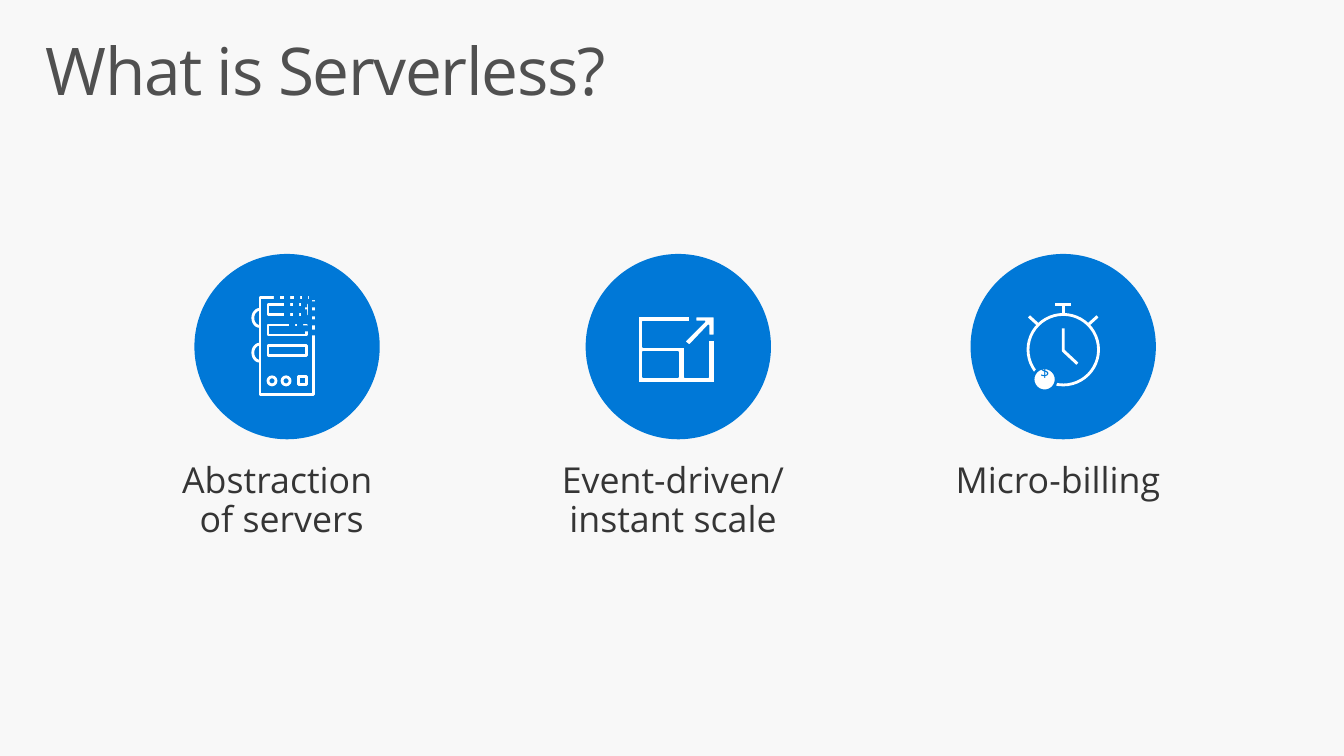
import math
import pptx
import pptx.util
import pptx.dml.color
import pptx.enum.shapes
import pptx.enum.text
import pptx.oxml

Cm, Pt = pptx.util.Cm, pptx.util.Pt
KIND = pptx.enum.shapes.MSO_SHAPE
ALIGN = pptx.enum.text.PP_ALIGN
FIT = pptx.enum.text.MSO_AUTO_SIZE

FONT = "Open Sans"
BLUE, WHITE = "0078D7", "FFFFFF"
SIZE = 4.67   # badge diameter in cm
GRID = 184    # icon units across a badge


def color(code):
    return pptx.dml.color.RGBColor.from_string(code)


def style(shape, fill=None, line=None, width=2):
    shape.shadow.inherit = False
    if fill:
        shape.fill.solid()
        shape.fill.fore_color.rgb = color(fill)
    else:
        shape.fill.background()
    if line:
        shape.line.color.rgb = color(line)
        shape.line.width = Pt(width)
    else:
        shape.line.fill.background()


def write(shapes, box, text, size, code, pad, align=ALIGN.LEFT, after=0, wrap=True):
    item = shapes.add_textbox(*[Cm(v) for v in box])
    frame = item.text_frame
    frame.word_wrap = wrap
    frame.auto_size = FIT.SHAPE_TO_FIT_TEXT if after else FIT.NONE
    frame.margin_left, frame.margin_top, frame.margin_right, frame.margin_bottom = map(Cm, pad)
    para = frame.paragraphs[0]
    para.text = text
    para.alignment = align
    para.line_spacing = 0.9
    para.space_after = Pt(after)
    para.font.name = FONT
    para.font.size = Pt(size)
    para.font.color.rgb = color(code)
    return para


class Badge:
    """A round badge whose icon is placed on a grid of GRID units."""

    def __init__(self, slide, left, top):
        self.left, self.top = left, top
        self.shapes = slide.shapes.add_group_shape().shapes
        self.add(KIND.OVAL, 0, 0, GRID, GRID, BLUE)

    def spot(self, x, y):
        return self.left + x * SIZE / GRID, self.top + y * SIZE / GRID

    def point(self, x, y):
        return tuple(Cm(v) for v in self.spot(x, y))

    def add(self, kind, x, y, wide, high, fill=None, line=None):
        unit = SIZE / GRID
        shape = self.shapes.add_shape(kind, *self.point(x, y), Cm(wide * unit), Cm(high * unit))
        style(shape, fill, line)

    def trace(self, loops, closed=True, **look):
        maker = None
        for loop in loops:
            first, *rest = [self.point(*spot) for spot in loop]
            if maker is None:
                maker = self.shapes.build_freeform(*first, scale=1.0)
            else:
                maker.move_to(*first)
            maker.add_line_segments(rest, close=closed)
        style(maker.convert_to_shape(), **look)

    def rule(self, start, end):
        line = self.shapes.add_connector(
            pptx.enum.shapes.MSO_CONNECTOR.STRAIGHT, *self.point(*start), *self.point(*end))
        line.line.color.rgb = color(WHITE)
        line.line.width = Pt(2.13)
        props = line._element.spPr
        props.append(props.makeelement(pptx.oxml.ns.qn("a:effectLst"), {}))


def server(badge):
    # Case and drive bays
    badge.add(KIND.RECTANGLE, 65, 43, 53, 97, line=WHITE)
    for row in range(3):
        badge.add(KIND.RECTANGLE, 73, 50 + 20.5 * row, 38, 10, line=WHITE)
    # Side handles
    for mid in (63.5, 98):
        turns = [math.radians(90 + 15 * step) for step in range(13)]
        arc = [(65 + 7 * math.cos(t), mid + 8.5 * math.sin(t)) for t in turns]
        badge.trace([arc], closed=False, line=WHITE)
    # Lamps
    for kind, x in ((KIND.OVAL, 73), (KIND.OVAL, 87), (KIND.RECTANGLE, 103)):
        badge.add(kind, x, 122, 8, 8, line=WHITE)
    # Squares that dissolve the corner
    holes = {79: [40], 89: [39, 46, 58], 94: [68], 98: [46, 57], 99: [40],
             102: [68], 106: [47, 55, 57], 107: [39, 71], 114: [40],
             115: [75, 65], 116: [47, 56]}
    for x, rows in holes.items():
        for y in rows:
            badge.add(KIND.RECTANGLE, x, y, 6, 6, BLUE)


def scale(badge):
    look = dict(fill=WHITE, line=BLUE, width=1.25)
    # Frame with the small window
    frame = [(122, 122), (98, 122), (98, 92), (57, 92), (57, 67), (103, 67),
             (103, 62), (52, 62), (52, 128), (128, 128), (128, 86), (122, 86)]
    window = [(57, 97), (92, 97), (92, 122), (57, 122)]
    badge.trace([frame, window], **look)
    # Arrow to the corner
    arrow = [(109, 67), (118, 67), (98, 87), (103, 91), (122, 71),
             (122, 81), (128, 81), (128, 62), (109, 62)]
    badge.trace([arrow], **look)


def clock(badge):
    # Hands, dial and buttons
    badge.trace([[(92, 74), (92, 96), (106, 109)]], closed=False, line=WHITE, width=2.13)
    badge.add(KIND.OVAL, 57, 60, 70, 70, line=WHITE)
    badge.rule((84, 50), (100, 50))
    badge.rule((92, 60), (92, 50))
    for side in (-1, 1):
        badge.rule((92 + 34 * side, 62), (92 + 24 * side, 71))
    # Coin
    badge.add(KIND.OVAL, 62, 113, 23, 23, WHITE, BLUE)
    write(badge.shapes, (*badge.spot(49, 100), 1.24, 1.24), "$", 11.8, BLUE,
          (0.51, 0.41, 0.51, 0.41), after=5.9, wrap=False)


def topic(slide, left, top, icon, label):
    icon(Badge(slide, left, top))
    wide = 7.4
    write(slide.shapes, (left + (SIZE - wide) / 2, top + 4.85, wide, 2.82), label, 25.5,
          "353535", (0.25, 0.41, 0.51, 0.41), ALIGN.CENTER, after=12)


def heading(slide, left, top, wide, high):
    para = write(slide.shapes, (left, top, wide, high), "What is Serverless?", 47,
                 "505050", (0.41, 0.25, 0.41, 0.25))
    para.runs[0].font._element.set("spc", "-100")


def main():
    deck = pptx.Presentation()
    deck.slide_width, deck.slide_height = Cm(33.87), Cm(19.05)
    slide = deck.slides.add_slide(deck.slide_layouts[6])
    slide.background.fill.solid()
    slide.background.fill.fore_color.rgb = color("F8F8F8")

    heading(slide, 0.74, 0.72, 32.39, 2.49)
    topics = [(4.9, server, "Abstraction \vof servers"),
              (14.76, scale, "Event-driven/ instant scale"),
              (24.46, clock, "Micro-billing")]
    for left, icon, label in topics:
        topic(slide, left, 6.4, icon, label)
    deck.save("out.pptx")


if __name__ == "__main__":
    main()
